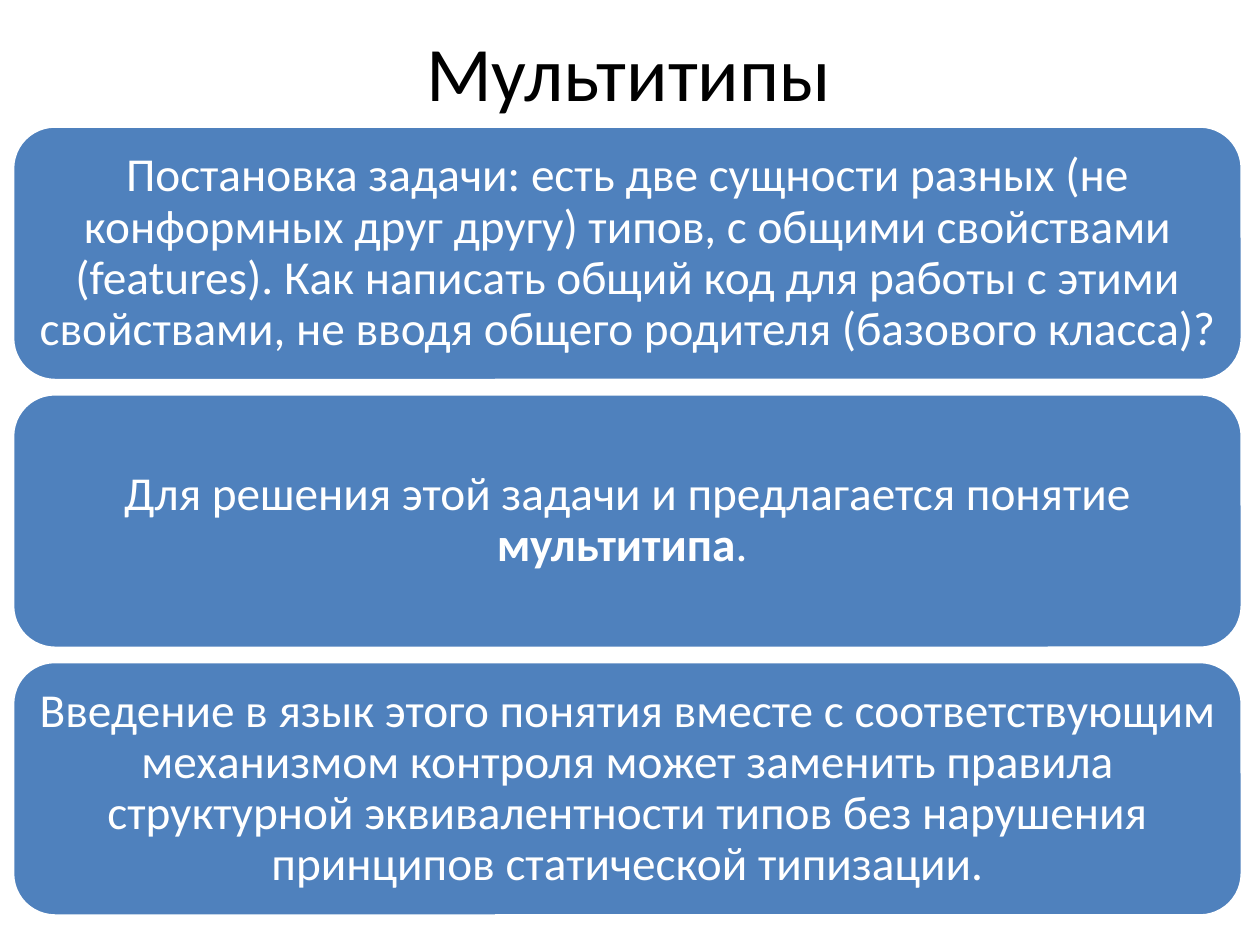
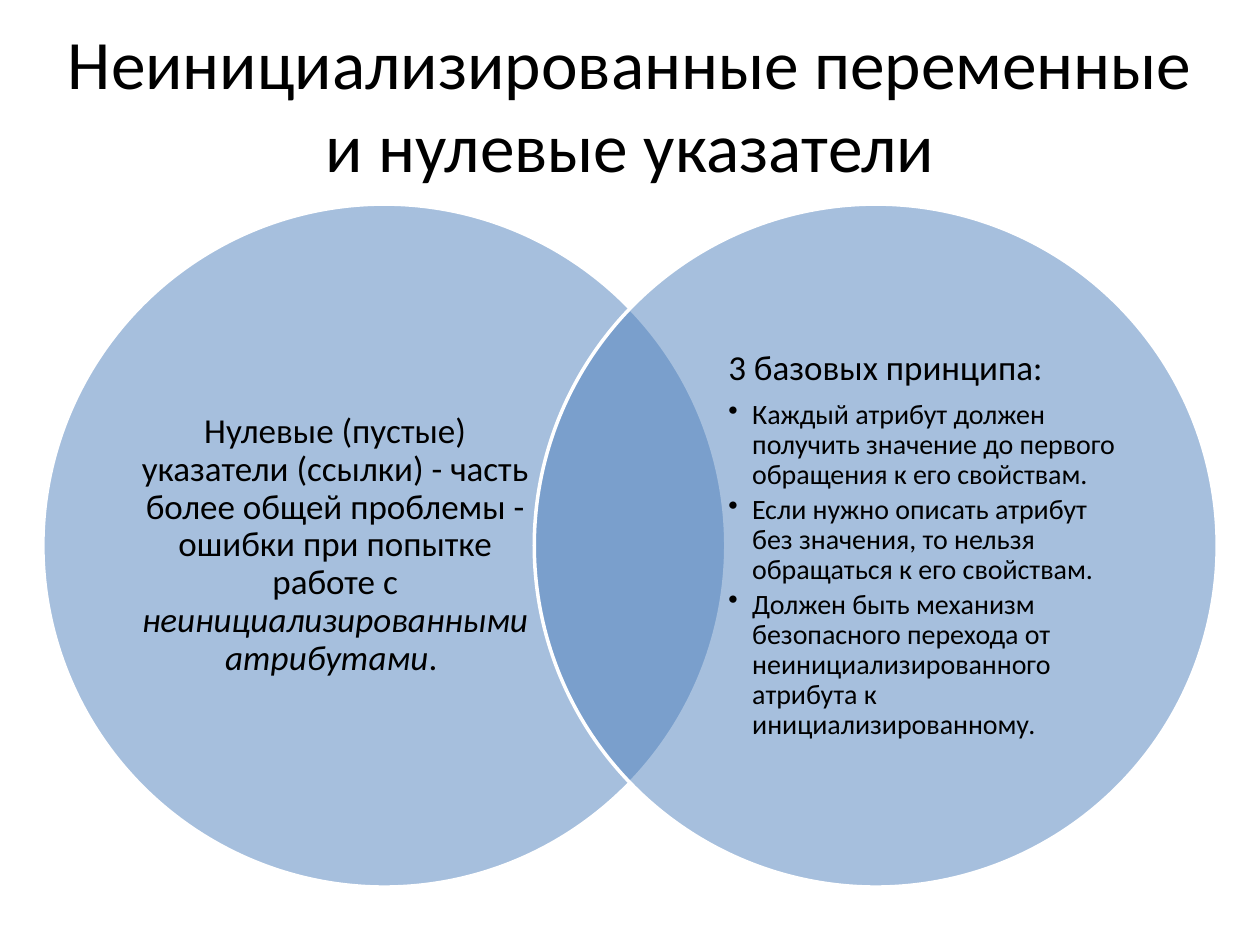
from dataclasses import dataclass

from lxml.etree import SubElement
from pptx import Presentation
from pptx.dml.color import RGBColor
from pptx.enum.shapes import MSO_SHAPE
from pptx.enum.text import MSO_ANCHOR, MSO_AUTO_SIZE, PP_ALIGN
from pptx.oxml.ns import qn
from pptx.util import Inches, Pt


@dataclass(frozen=True)
class Theme:
    font: str = "Calibri"
    blue: RGBColor = RGBColor(0x4F, 0x81, 0xBD)
    white: RGBColor = RGBColor(0xFF, 0xFF, 0xFF)
    black: RGBColor = RGBColor(0, 0, 0)
    outline: float = 2
    panel_size: float = 27
    circle_size: float = 20
    bullet_size: float = 16
    line_spacing: float = 0.9
    gap_share: float = 0.35         # space after, as a share of the type size
    bullet_gap_share: float = 0.15


theme = Theme()
deck = Presentation()
deck.slide_width, deck.slide_height = Inches(10), Inches(7.5)
title_only = deck.slide_layouts[5]


def add_figure(slide, kind, box, opacity=100):
    """Blue figure with a white outline."""
    figure = slide.shapes.add_shape(kind, *map(Inches, box))
    figure.shadow.inherit = False
    figure.fill.solid()
    figure.fill.fore_color.rgb = theme.blue
    if opacity < 100:
        colour = figure.fill._xPr.find(qn("a:solidFill"))[0]
        SubElement(colour, qn("a:alpha"), val=str(opacity * 1000))
    figure.line.color.rgb = theme.white
    figure.line.width = Pt(theme.outline)


def add_text(slide, box, paragraphs, colour, margins=(0, 0)):
    """Text box; each paragraph is (runs, size, alignment, gap share, bulleted).

    Each run is (text, font attribute to switch on or None).
    """
    frame = slide.shapes.add_textbox(*map(Inches, box)).text_frame
    frame.word_wrap = True
    frame.vertical_anchor = MSO_ANCHOR.MIDDLE
    frame.margin_left = frame.margin_right = Inches(margins[0])
    frame.margin_top = frame.margin_bottom = Inches(margins[1])
    for index, (runs, size, alignment, gap, bulleted) in enumerate(paragraphs):
        paragraph = frame.add_paragraph() if index else frame.paragraphs[0]
        paragraph.alignment = alignment
        paragraph.line_spacing = theme.line_spacing
        paragraph.space_after = Pt(size * gap)
        for words, emphasis in runs:
            run = paragraph.add_run()
            run.text = words
            run.font.name = theme.font
            run.font.size = Pt(size)
            run.font.color.rgb = colour
            if emphasis:
                setattr(run.font, emphasis, True)
        if bulleted:
            paragraph.level = 1
            properties = paragraph._p.get_or_add_pPr()
            properties.set("marL", str(Inches(0.19)))
            properties.set("indent", str(Inches(-0.19)))
            SubElement(properties, qn("a:buChar"), char="•")


# Titles of both slides
headings = [
    ("Мультитипы", 44, (0.49, 0, 9, 1.12)),
    ("Неинициализированные переменные и нулевые указатели", 39.6,
     (0.34, 0.14, 9.32, 1.36)),
]
slides = []
for heading, heading_size, heading_box in headings:
    slide = deck.slides.add_slide(title_only)
    title = slide.shapes.title
    title.left, title.top, title.width, title.height = map(Inches, heading_box)
    title.text_frame.text = heading
    title.text_frame.auto_size = MSO_AUTO_SIZE.NONE
    title.text_frame.vertical_anchor = MSO_ANCHOR.MIDDLE
    title.text_frame.paragraphs[0].alignment = PP_ALIGN.CENTER
    heading_font = title.text_frame.paragraphs[0].runs[0].font
    heading_font.name = theme.font
    heading_font.size = Pt(heading_size)
    heading_font.color.rgb = theme.black
    slides.append(slide)
multitypes, null_pointers = slides

# Slide 1: three stacked panels
statements = [
    [("Постановка задачи: есть две сущности разных (не конформных друг другу) "
      "типов, с общими свойствами (features). Как написать общий код для работы "
      "с этими свойствами, не вводя общего родителя (базового класса)?", None)],
    [("Для решения этой задачи и предлагается понятие ", None),
     ("мультитипа", "bold"), (". ", None)],
    [("Введение в язык этого понятия вместе с соответствующим механизмом "
      "контроля может заменить правила структурной эквивалентности типов без "
      "нарушения принципов статической типизации.", None)],
]
panel_left, panel_top, panel_width, panel_height = 0.1, 1, 9.76, 2.02
panel_pitch, panel_pad = 2.125, 0.1
for row, statement in enumerate(statements):
    top = panel_top + row * panel_pitch
    add_figure(multitypes, MSO_SHAPE.ROUNDED_RECTANGLE,
               (panel_left, top, panel_width, panel_height))
    add_text(multitypes,
             (panel_left + panel_pad, top + panel_pad,
              panel_width - 2 * panel_pad, panel_height - 2 * panel_pad),
             [(statement, theme.panel_size, PP_ALIGN.CENTER, theme.gap_share, False)],
             theme.white, margins=(0.11, 0.06))

# Slide 2: two overlapping circles
problem = [
    ([("Нулевые (пустые) указатели (ссылки) - часть более общей проблемы - "
       "ошибки при попытке работе с ", None),
      ("неинициализированными атрибутами", "italic"), (". ", None)],
     theme.circle_size, PP_ALIGN.CENTER, theme.gap_share, False),
]
rules = [
    "Каждый атрибут должен получить значение до первого обращения к его свойствам.",
    "Если нужно описать атрибут без значения, то нельзя обращаться к его свойствам.",
    "Должен быть механизм безопасного перехода от неинициализированного "
    "атрибута к инициализированному.",
]
principles = [
    ([("3 базовых принципа:", None)],
     theme.circle_size, PP_ALIGN.LEFT, theme.gap_share, False),
] + [
    ([(rule, None)], theme.bullet_size, PP_ALIGN.LEFT, theme.bullet_gap_share, True)
    for rule in rules
]
diameter, circle_top, side_margin = 5.42, 1.62, 0.34
text_width, text_height, text_inset = 3.12, 4.14, 0.76
text_top = circle_top + (diameter - text_height) / 2
circles = [
    (side_margin, side_margin + text_inset, problem),
    (10 - side_margin - diameter, 10 - side_margin - text_inset - text_width, principles),
]
for circle_left, text_left, content in circles:
    add_figure(null_pointers, MSO_SHAPE.OVAL,
               (circle_left, circle_top, diameter, diameter), opacity=50)
    add_text(null_pointers, (text_left, text_top, text_width, text_height),
             content, theme.black)

deck.save("out.pptx")
